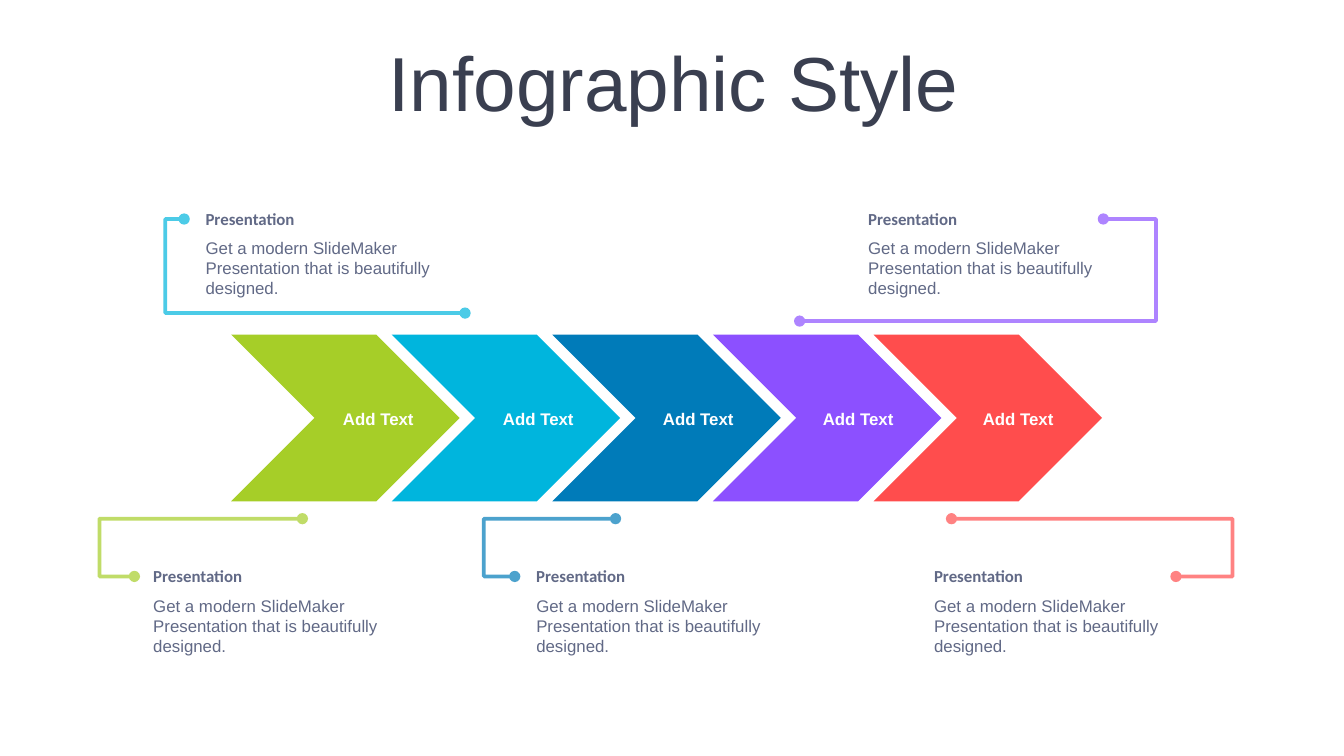
from lxml import etree
from pptx import Presentation
from pptx.dml.color import RGBColor
from pptx.enum.shapes import MSO_CONNECTOR as Connector, MSO_SHAPE as Shape
from pptx.enum.text import MSO_ANCHOR as Anchor, PP_ALIGN as Align
from pptx.oxml.ns import qn
from pptx.util import Inches, Pt

THEME = {
    "title": ("Arial", 41, False, "3A3F50"),
    "heading": ("Calibri", 9, True, "616986"),
    "body": ("Arial", 9, False, "616986"),
    "label": ("Arial", 9, True, "FFFFFF"),
    "line_width": 2,
    "line_alpha": 70,
}

TITLE = "Infographic Style"
LABEL = "Add Text"
HEADING = "Presentation"
BODY = "Get a modern SlideMaker Presentation that is beautifully designed."

# One step each: colour, callout text corner, connector start, end and x of its bend
STEPS = [
    ("A6CE28", (1.14, 4.16), (1.00, 4.29), (2.25, 3.86), 0.74),
    ("00B5DD", (1.53, 1.50), (1.37, 1.63), (3.46, 2.33), 1.23),
    ("007BB9", (3.99, 4.16), (3.83, 4.29), (4.58, 3.86), 3.60),
    ("8C50FF", (6.46, 1.50), (5.95, 2.39), (8.21, 1.63), 8.60),
    ("FF4D4D", (6.95, 4.16), (7.08, 3.86), (8.75, 4.29), 9.17),
]
SLIDE_WIDTH = 10
SLIDE_HEIGHT = SLIDE_WIDTH * 9 / 16
CHEVRON_FIRST, CHEVRON_LAST, CHEVRON_TOP = 1.72, 6.5, 2.49
CHEVRON_STEP = (CHEVRON_LAST - CHEVRON_FIRST) / (len(STEPS) - 1)
CHEVRON_WIDTH, CHEVRON_HEIGHT = 1.7, 1.24
LABEL_LEFT, LABEL_TOP, LABEL_STEP = 2.46, 3.0, 1.19


def add_text(slide, text, style, left, top, width, height,
             align=Align.LEFT, anchor=Anchor.TOP, margin=0.05):
    box = slide.shapes.add_textbox(Inches(left), Inches(top), Inches(width), Inches(height))
    frame = box.text_frame
    frame.word_wrap = True
    frame.vertical_anchor = anchor
    frame.margin_left = frame.margin_right = 0
    frame.margin_top = frame.margin_bottom = Inches(margin)
    paragraph = frame.paragraphs[0]
    paragraph.text = text
    paragraph.alignment = align
    font = paragraph.font
    font.name, size, font.bold, color = THEME[style]
    font.size = Pt(size)
    font.color.rgb = RGBColor.from_string(color)
    return paragraph


def add_chevron(slide, left, color):
    chevron = slide.shapes.add_shape(
        Shape.CHEVRON, Inches(left), Inches(CHEVRON_TOP),
        Inches(CHEVRON_WIDTH), Inches(CHEVRON_HEIGHT))
    chevron.shadow.inherit = False
    chevron.fill.solid()
    chevron.fill.fore_color.rgb = RGBColor.from_string(color)
    chevron.line.fill.background()


def add_elbow(slide, start, end, bend, color):
    elbow = slide.shapes.add_connector(
        Connector.ELBOW, *(Inches(value) for value in start + end))
    elbow.line.width = Pt(THEME["line_width"])
    elbow.line.color.rgb = RGBColor.from_string(color)
    properties = elbow._element.spPr

    # The bend lies outside the span, as a share of the run from start to end
    share = (bend - start[0]) / (end[0] - start[0])
    guides = properties.find(qn("a:prstGeom")).get_or_add_avLst()
    etree.SubElement(guides, qn("a:gd"), name="adj1", fmla=f"val {round(share * 100000)}")

    # Transparency, round ends and no shadow
    line = properties.find(qn("a:ln"))
    color_element = line.find(".//" + qn("a:srgbClr"))
    etree.SubElement(color_element, qn("a:alpha"), val=str(THEME["line_alpha"] * 1000))
    etree.SubElement(line, qn("a:round"))
    for tag in ("a:headEnd", "a:tailEnd"):
        etree.SubElement(line, qn(tag), type="oval")
    etree.SubElement(properties, qn("a:effectLst"))


def main():
    presentation = Presentation()
    presentation.slide_width = Inches(SLIDE_WIDTH)
    presentation.slide_height = Inches(SLIDE_HEIGHT)
    slide = presentation.slides.add_slide(presentation.slide_layouts[6])

    # Title
    title = add_text(slide, TITLE, "title", 0.27, 0.15, 9.49, 0.84,
                     Align.CENTER, Anchor.MIDDLE, 0)
    title.line_spacing = 1.1

    # Chevron row
    for index, (color, *_) in enumerate(STEPS):
        add_chevron(slide, CHEVRON_FIRST + index * CHEVRON_STEP, color)

    # Callouts, their connectors and the chevron labels
    for index, (color, (left, top), start, end, bend) in enumerate(STEPS):
        add_elbow(slide, start, end, bend, color)
        add_text(slide, HEADING, "heading", left, top, 1.67, 0.25)
        add_text(slide, BODY, "body", left, top + 0.22, 1.68, 0.56)
        add_text(slide, LABEL, "label", LABEL_LEFT + index * LABEL_STEP, LABEL_TOP,
                 0.71, 0.23, Align.CENTER, margin=0.04)

    presentation.save("out.pptx")


if __name__ == "__main__":
    main()
